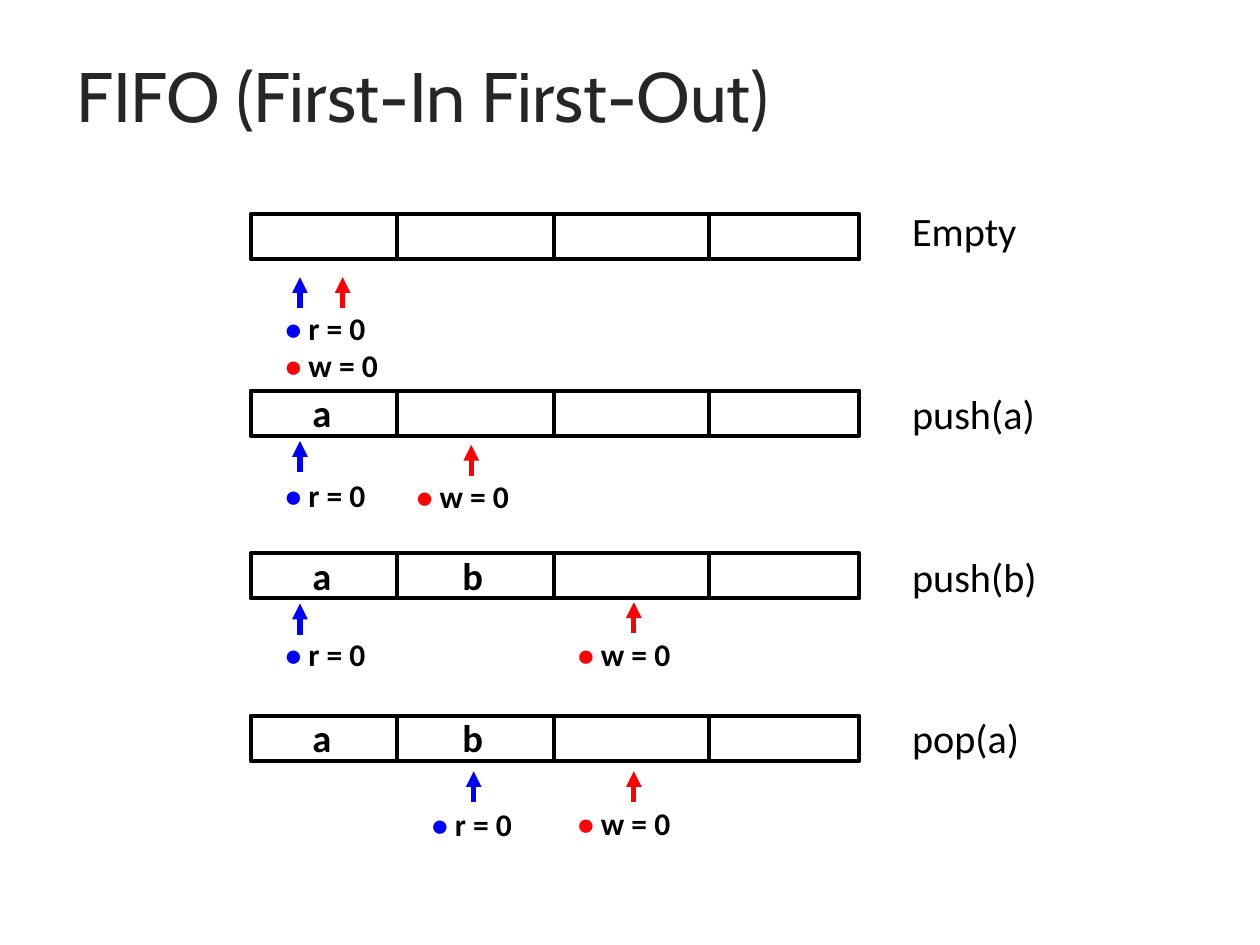
from lxml.etree import SubElement
from pptx import Presentation
from pptx.dml.color import RGBColor
from pptx.enum.shapes import MSO_CONNECTOR, MSO_SHAPE
from pptx.enum.text import MSO_ANCHOR, MSO_AUTO_SIZE
from pptx.oxml.ns import qn
from pptx.util import Pt

BLACK, BLUE, RED = "000000", "0000FF", "FF0000"
LEFT, WIDE, HIGH = 143.3, 347.8, 25.9
WALLS = (83.5, 173.5, 262.1)
SLOTS = (28.1, 113.8)

# Each pointer: name/colour pairs, text place, then arrow colour and tip.
R, W = ("r = 0", BLUE), ("w = 0", RED)
ROWS = [
    (122.4, "Empty", -7.9, (), [([R, W], 12.9, 50.4)],
     [(BLUE, 28.1, 36), (RED, 52.5, 36)]),
    (223.2, "push(a)", -4.3, "a", [([R], 12.9, 45.4), ([W], 87.8, 46.1)],
     [(BLUE, 28.1, 28.8), (RED, 126, 31)]),
    (316.1, "push(b)", -4.3, "ab", [([R], 12.9, 43.2), ([W], 180, 43.2)],
     [(BLUE, 28.1, 28.8), (RED, 218.9, 28.1)]),
    (409, "pop(a)", -5, "ab", [([R], 96.5, 47.5), ([W], 180, 46.8)],
     [(BLUE, 127.4, 31.7), (RED, 218.9, 31.7)]),
]


def tint(code):
    """Turn a hex string into a colour."""
    return RGBColor.from_string(code)


def write(slide, text, x, y, w, h, size, color=BLACK, font="Calibri",
          bold=False, grow=True):
    """Add a text box from a string or from paragraphs of (text, colour) runs."""
    box = slide.shapes.add_textbox(Pt(x), Pt(y), Pt(w), Pt(h))
    frame = box.text_frame
    frame.word_wrap = True
    frame.auto_size = MSO_AUTO_SIZE.SHAPE_TO_FIT_TEXT if grow else MSO_AUTO_SIZE.NONE
    lines = [[(text, color)]] if isinstance(text, str) else text
    for i, line in enumerate(lines):
        para = frame.add_paragraph() if i else frame.paragraphs[0]
        for part, shade in line:
            run = para.add_run()
            run.text = part
            run.font.size = Pt(size)
            run.font.name = font
            run.font.bold = bold
            run.font.color.rgb = tint(shade)
    return frame


def draw_line(shapes, x, y, end, color, width, arrow=False):
    """Draw an upright line from y to end, with an arrowhead at end if asked."""
    line = shapes.add_connector(MSO_CONNECTOR.STRAIGHT, Pt(x), Pt(y), Pt(x), Pt(end))
    line.line.color.rgb = tint(color)
    line.line.width = Pt(width)
    if arrow:
        SubElement(line.line._get_or_add_ln(), qn("a:tailEnd"), type="triangle")
    SubElement(line._element.spPr, qn("a:effectLst"))


def draw_cells(slide, x, y, w, h):
    """Draw the four cells of the queue as a group."""
    shapes = slide.shapes.add_group_shape().shapes
    box = shapes.add_shape(MSO_SHAPE.RECTANGLE, Pt(x), Pt(y), Pt(w), Pt(h))
    box.shadow.inherit = False
    box.fill.background()
    box.line.color.rgb = tint(BLACK)
    box.line.width = Pt(2.25)
    for wall in WALLS:
        draw_line(shapes, x + wall, y, y + h, BLACK, 2.25)


def draw_row(slide, x, y, label, rise, items, marks, tips):
    """Draw one queue state with its label, items and pointers."""
    draw_cells(slide, x, y, WIDE, HIGH)
    write(slide, label, x + 370.8, y + rise, 120.2, 35.3, 23)
    for item, slot in zip(items, SLOTS):
        write(slide, item, x + slot, y - 4.3, 25.2, 33.8, 22, bold=True)
    for names, dx, dy in marks:
        lines = [[("•", color), (f" {name}", BLACK)] for name, color in names]
        write(slide, lines, x + dx, y + dy, 120.2, 7.2 + 21.9 * len(lines), 18, bold=True)
    for color, dx, dy in tips:
        draw_line(slide.shapes, x + dx, y + dy + 17.7, y + dy, color, 3, arrow=True)


def draw_title(slide, x, y, w, h):
    """Write the slide title with a thin outline."""
    frame = write(slide, "FIFO (First-In First-Out)", x, y, w, h, 40,
                  color="262626", font="Cabin", grow=False)
    frame.vertical_anchor = MSO_ANCHOR.MIDDLE
    para = frame.paragraphs[0]
    para.line_spacing = 0.9
    props = para.runs[0].font._element
    edge = SubElement(props, qn("a:ln"), w=str(Pt(0.25)))
    fill = SubElement(edge, qn("a:solidFill"))
    SubElement(fill, qn("a:srgbClr"), val="3B3838")
    props.insert(0, edge)


def main():
    """Build the slide and save it."""
    deck = Presentation()
    deck.slide_width, deck.slide_height = Pt(720), Pt(540)
    slide = deck.slides.add_slide(deck.slide_layouts[6])
    draw_title(slide, 36.7, 0, 668.2, 114.5)
    for top, *state in ROWS:
        draw_row(slide, LEFT, top, *state)
    deck.save("out.pptx")


if __name__ == "__main__":
    main()
